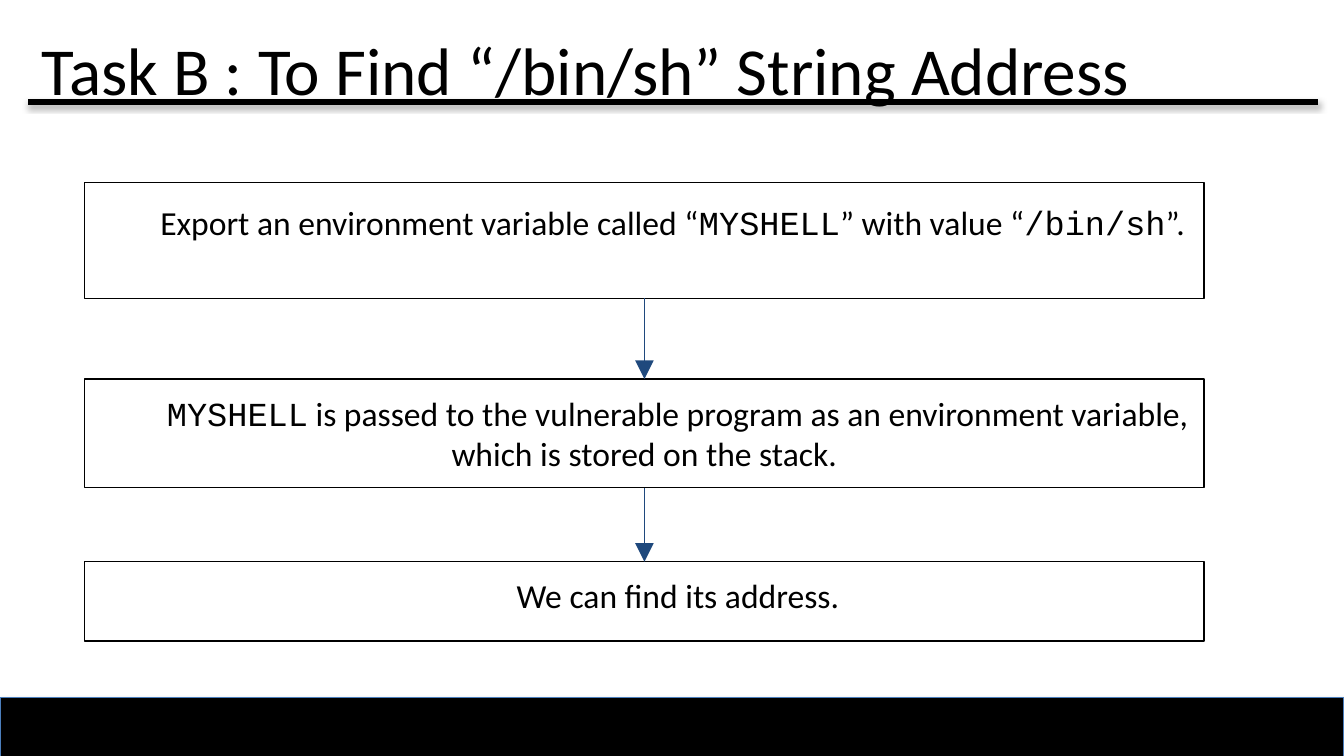
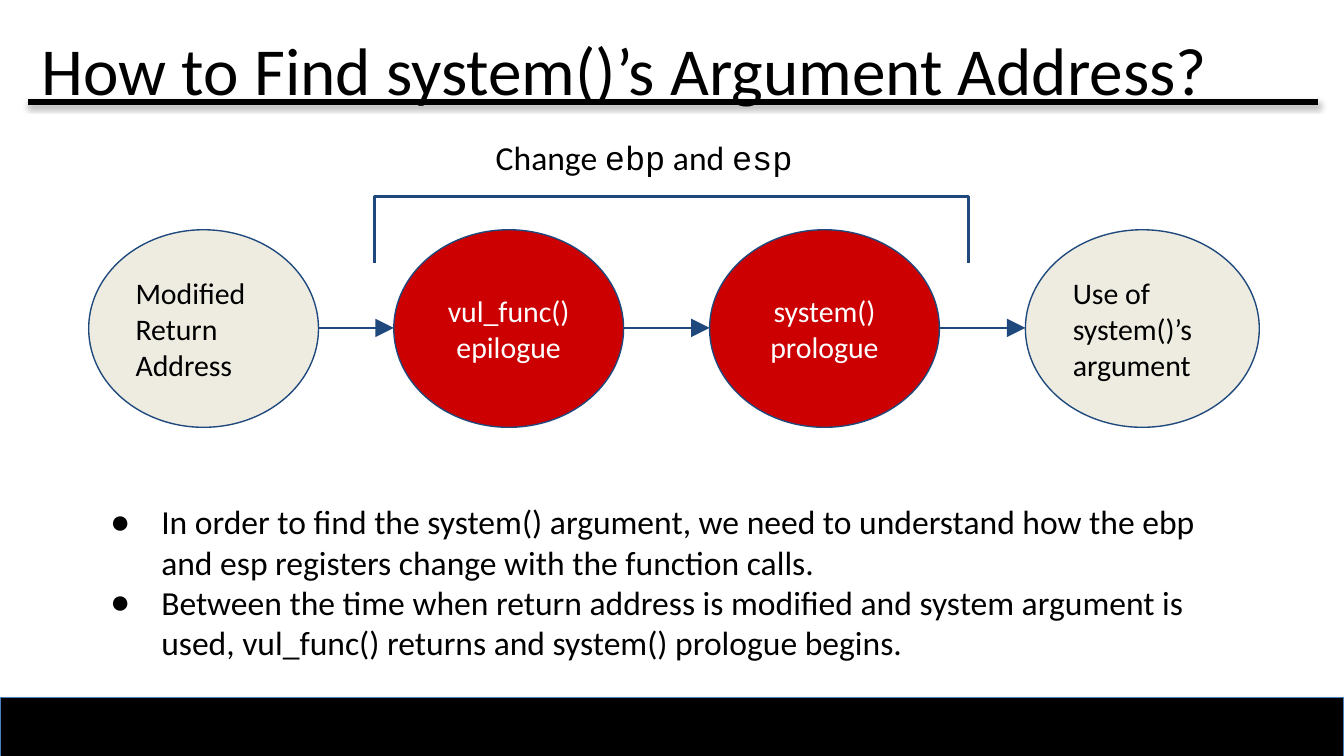
from pptx import Presentation
from pptx.dml.color import RGBColor
from pptx.enum.shapes import MSO_CONNECTOR, MSO_SHAPE
from pptx.enum.text import MSO_ANCHOR, MSO_AUTO_SIZE, PP_ALIGN
from pptx.oxml.ns import qn
from pptx.util import Inches, Pt
from lxml import etree

RECT, OVAL = MSO_SHAPE.RECTANGLE, MSO_SHAPE.OVAL
BRACKET = MSO_SHAPE.LEFT_BRACKET
STRAIGHT = MSO_CONNECTOR.STRAIGHT
TOP, MIDDLE = MSO_ANCHOR.TOP, MSO_ANCHOR.MIDDLE
LEFT, CENTER = PP_ALIGN.LEFT, PP_ALIGN.CENTER

COLORS = {"ink": "000000", "paper": "FFFFFF", "edge": "4B7EBC",
          "navy": "1F497D", "cream": "EEECE1", "red": "CC0000"}
FONT, MONO = "Calibri", "Courier New"
TITLE_ONLY, TITLE_BODY = 5, 1


def rgb(name):
    return RGBColor.from_string(COLORS[name])


class Deck:
    """Holds the style and the current slide."""

    def __init__(self):
        self.prs = Presentation()
        self.prs.slide_width = Inches(10)
        self.prs.slide_height = Inches(10) * 9 // 16
        self.slide = None

    # Shared frame: title, footer band and rule
    def page(self, title, layout):
        self.slide = self.prs.slides.add_slide(self.prs.slide_layouts[layout])
        band = self.shape(RECT, (0, 5.19, 10, 0.44), "ink", "edge")
        self.shade(band, 35, 1.8)
        rule = self.line((0.21, 0.76), (9.81, 0.76), "ink", 3)
        self.shade(rule, 38, 1.6)
        head = self.slide.shapes.title
        self.place(head, (0.21, 0.11, 9.6, 0.59))
        self.text(head, [title], 36)

    def place(self, item, box):
        item.left, item.top, item.width, item.height = map(Inches, box)

    def shade(self, item, alpha, dist):
        props = item._element.spPr
        for old in props.findall(qn("a:effectLst")):
            props.remove(old)
        fx = etree.SubElement(props, qn("a:effectLst"))
        glow = etree.SubElement(fx, qn("a:outerShdw"), blurRad=str(Pt(3.1)),
                                dist=str(Pt(dist)), dir="5400000", rotWithShape="0")
        color = etree.SubElement(glow, qn("a:srgbClr"), val=COLORS["ink"])
        etree.SubElement(color, qn("a:alpha"), val=str(alpha * 1000))

    # Text between backticks is set in the code font
    def text(self, item, paras, size, color="ink", align=LEFT, anchor=TOP,
             margin=0, indent=0, bullet=None):
        frame = item.text_frame
        frame.word_wrap = True
        frame.auto_size = MSO_AUTO_SIZE.NONE
        frame.vertical_anchor = anchor
        frame.margin_left = frame.margin_right = Inches(0.1)
        frame.margin_top = frame.margin_bottom = Inches(0.1)
        for n, words in enumerate(paras):
            para = frame.paragraphs[0] if n == 0 else frame.add_paragraph()
            para.alignment = align
            para.space_before = Pt(0)
            for i, part in enumerate(words.split("`")):
                if not part:
                    continue
                run = para.add_run()
                run.text = part
                run.font.name = MONO if i % 2 else FONT
                run.font.size = Pt(size)
                run.font.color.rgb = rgb(color)
            props = para._p.get_or_add_pPr()
            props.set("marL", str(Inches(margin)))
            props.set("indent", str(Inches(indent)))
            if bullet:
                etree.SubElement(props, qn("a:buChar"), char=bullet)

    def shape(self, kind, box, fill, edge, width=0.75):
        item = self.slide.shapes.add_shape(kind, *map(Inches, box))
        item.shadow.inherit = False
        if fill:
            item.fill.solid()
            item.fill.fore_color.rgb = rgb(fill)
        else:
            item.fill.background()
        item.line.color.rgb = rgb(edge)
        item.line.width = Pt(width)
        return item

    def line(self, start, end, color, width=0.75):
        item = self.slide.shapes.add_connector(
            STRAIGHT, *map(Inches, start + end))
        item.line.color.rgb = rgb(color)
        item.line.width = Pt(width)
        etree.SubElement(item._element.spPr, qn("a:effectLst"))
        return item

    def arrow(self, start, end):
        item = self.line(start, end, "navy")
        etree.SubElement(item.line._get_or_add_ln(), qn("a:tailEnd"),
                         type="triangle", w="lg", len="lg")
        return item

    def label(self, box, words, **style):
        item = self.slide.shapes.add_textbox(*map(Inches, box))
        self.text(item, [words], 18, **style)

    def list(self, box, items):
        body = self.slide.placeholders[1]
        self.place(body, box)
        self.text(body, items, 18, margin=0.5, indent=-0.38, bullet="●")


def steps(deck):
    deck.page("Task B : To Find “/bin/sh” String Address", TITLE_ONLY)
    # Boxes from top to bottom: top, height, first line indent, text
    rows = [
        (1.36, 0.86, 0.42, "Export an environment variable called “`MYSHELL`” "
                           "with value “`/bin/sh`”."),
        (2.82, 0.81, 0.5, "`MYSHELL` is passed to the vulnerable program as an "
                          "environment variable, which is stored on the stack."),
        (4.18, 0.59, 0.5, "We can find its address."),
    ]
    boxes = []
    for top, high, indent, words in rows:
        box = deck.shape(RECT, (0.63, top, 8.33, high), None, "ink")
        deck.text(box, [words], 18, align=CENTER, indent=indent)
        boxes.append(box)
    first = boxes[0].text_frame.paragraphs[0]
    first.line_spacing = 1.15
    first.space_after = Pt(16)
    # Arrows between the boxes
    for upper, lower in zip(boxes, boxes[1:]):
        link = deck.arrow((4.8, 2), (4.8, 3))
        link.begin_connect(upper, 2)
        link.end_connect(lower, 0)


def flow(deck):
    deck.page("How to Find system()’s Argument Address?", TITLE_BODY)
    # Stages: left, width, fill, text colour, alignment, text
    stages = [
        (0.66, 1.71, "cream", "ink", LEFT, "Modified Return Address"),
        (2.93, 1.71, "red", "paper", CENTER, "vul_func() epilogue"),
        (5.28, 1.71, "red", "paper", CENTER, "system() prologue"),
        (7.63, 1.74, "cream", "ink", LEFT, "Use of system()’s argument"),
    ]
    for left, wide, fill, color, align, words in stages:
        oval = deck.shape(OVAL, (left, 1.71, wide, 1.47), fill, "navy")
        deck.text(oval, [words], 16, color, align, MIDDLE)
    for one, two in zip(stages, stages[1:]):
        deck.arrow((one[0] + one[1], 2.44), (two[0], 2.44))
    # Explanation
    deck.list((0.6, 3.63, 8.8, 1.47), [
        "In order to find the system() argument, we need to understand how "
        "the ebp and esp registers change with the function calls.",
        "Between the time when return address is modified and system argument "
        "is used, vul_func() returns and system() prologue begins.",
    ])
    # Bracket over the two middle stages
    clasp = deck.shape(BRACKET, (4.75, -0.5, 0.49, 4.42), None, "navy", 1.5)
    clasp.rotation = 90
    clasp.adjustments[0] = 0
    deck.label((2.8, 0.92, 4.42, 0.49), "Change `ebp` and `esp`", margin=0.79)


def main():
    deck = Deck()
    steps(deck)
    flow(deck)
    deck.prs.save("out.pptx")


if __name__ == "__main__":
    main()
